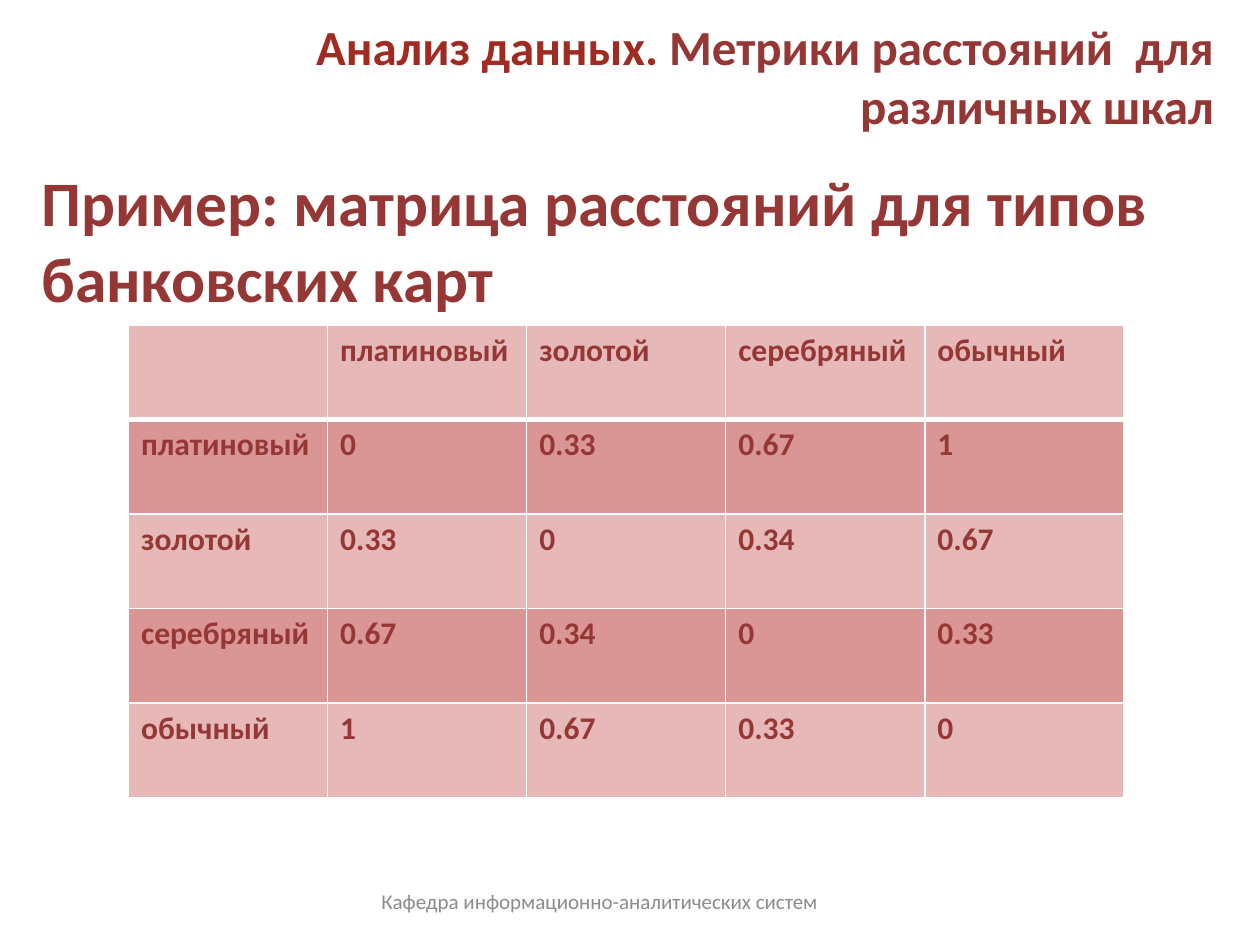
from lxml import etree
from pptx import Presentation
from pptx import util as u
from pptx.dml.color import RGBColor
from pptx.enum import text
from pptx.oxml.ns import qn

WINE = RGBColor(0x95, 0x37, 0x35)
BRICK = RGBColor(0x9F, 0x2B, 0x22)
GREY = RGBColor(0x8C, 0x8C, 0x8C)
LIGHT_ROSE = RGBColor(0xE6, 0xB9, 0xB8)
DARK_ROSE = RGBColor(0xD9, 0x96, 0x94)
WHITE = RGBColor(0xFF, 0xFF, 0xFF)
FONT = "Calibri"

LEFT, CENTER, RIGHT = (text.PP_ALIGN.LEFT, text.PP_ALIGN.CENTER,
                       text.PP_ALIGN.RIGHT)
TOP, MIDDLE = text.MSO_ANCHOR.TOP, text.MSO_ANCHOR.MIDDLE

WIDTH, HEIGHT = 10, 7.5
TABLE_LEFT, TABLE_TOP = 1.02, 2.58
COLUMN_WIDTH, ROW_HEIGHT = 1.58, 0.75

TEXTS = [
    {"box": (0.23, 1.25, 9.22, 5.23), "align": LEFT, "anchor": TOP,
     "size": 36.2, "bold": True,
     "runs": [("Пример: матрица расстояний для типов банковских карт", WINE)]},
    {"box": (0.94, 0.13, 8.79, 0.94), "align": RIGHT, "anchor": MIDDLE,
     "size": 28, "bold": True,
     "runs": [("Анализ данных. ", BRICK),
              ("Метрики расстояний  для различных шкал", WINE)]},
    {"box": (2.73, 6.95, 4.06, 0.4), "align": CENTER, "anchor": MIDDLE,
     "size": 12, "bold": False,
     "runs": [("Кафедра информационно-аналитических систем", GREY)]},
]

CARDS = ["платиновый", "золотой", "серебряный", "обычный"]
DISTANCES = [
    ["0", "0.33", "0.67", "1"],
    ["0.33", "0", "0.34", "0.67"],
    ["0.67", "0.34", "0", "0.33"],
    ["1", "0.67", "0.33", "0"],
]


def add_run(paragraph, wording, size, color, bold):
    run = paragraph.add_run()
    run.text = wording
    run.font.name = FONT
    run.font.size = u.Pt(size)
    run.font.bold = bold
    run.font.color.rgb = color


def add_text(slide, box, align, anchor, size, bold, runs):
    frame = slide.shapes.add_textbox(*map(u.Inches, box)).text_frame
    frame.word_wrap = True
    frame.vertical_anchor = anchor
    paragraph = frame.paragraphs[0]
    paragraph.alignment = align
    for wording, color in runs:
        add_run(paragraph, wording, size, color, bold)


def set_borders(cell, widths):
    properties = cell._tc.get_or_add_tcPr()
    for index, (side, width) in enumerate(widths.items()):
        line = etree.Element(qn(f"a:ln{side}"), w=str(u.Pt(width)))
        fill = etree.SubElement(line, qn("a:solidFill"))
        etree.SubElement(fill, qn("a:srgbClr"), val=str(WHITE))
        properties.insert(index, line)


def add_matrix(slide):
    rows = [[""] + CARDS]
    rows += [[card] + values for card, values in zip(CARDS, DISTANCES)]
    count = len(rows)
    table = slide.shapes.add_table(
        count, count, u.Inches(TABLE_LEFT), u.Inches(TABLE_TOP),
        u.Inches(COLUMN_WIDTH * count), u.Inches(ROW_HEIGHT * count)).table
    for column in table.columns:
        column.width = u.Inches(COLUMN_WIDTH)
    for r, values in enumerate(rows):
        table.rows[r].height = u.Inches(ROW_HEIGHT)
        for c, value in enumerate(values):
            cell = table.cell(r, c)
            cell.fill.solid()
            cell.fill.fore_color.rgb = DARK_ROSE if r % 2 else LIGHT_ROSE
            set_borders(cell, {"L": 1, "R": 1, "T": 3 if r == 1 else 1,
                               "B": 3 if r == 0 else 1})
            if value:
                add_run(cell.text_frame.paragraphs[0], value, 18, WINE, True)


def main():
    presentation = Presentation()
    presentation.slide_width = u.Inches(WIDTH)
    presentation.slide_height = u.Inches(HEIGHT)
    slide = presentation.slides.add_slide(presentation.slide_layouts[6])
    for item in TEXTS:
        add_text(slide, **item)
    add_matrix(slide)
    presentation.save("out.pptx")


if __name__ == "__main__":
    main()
